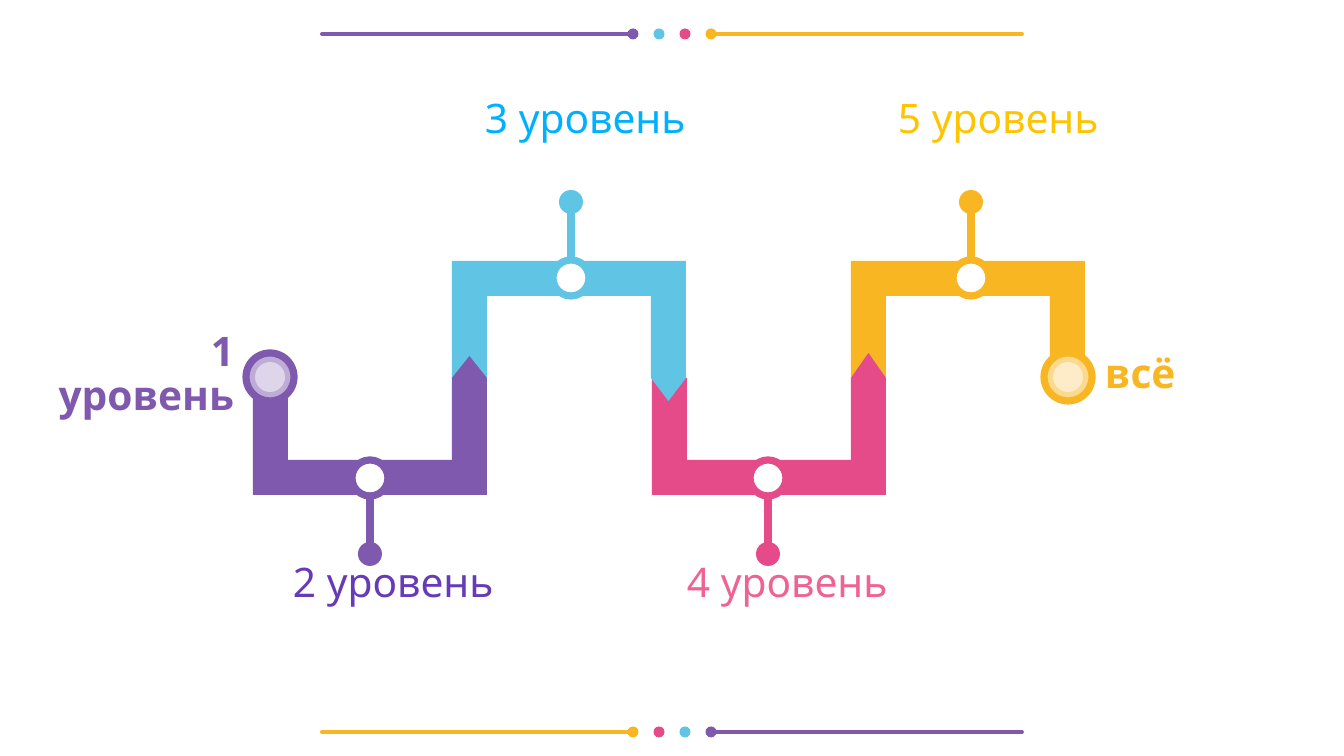
import lxml.etree
import pptx
import pptx.dml.color
import pptx.enum.shapes
import pptx.enum.text
import pptx.oxml.ns
import pptx.util

EMU_PER_PX = 7495
PURPLE, BLUE, PINK, YELLOW, WHITE = "7F59AE", "60C4E4", "E54B89", "F8B622", "FFFFFF"
TOP, MIDDLE, BOTTOM = 261, 378, 495
RIBBON_WIDTH, BAND = 234, 35
ALIGN = pptx.enum.text.PP_ALIGN
ANCHOR = pptx.enum.text.MSO_ANCHOR


def px(length):
    return pptx.util.Emu(round(length * EMU_PER_PX))


def color(value):
    return pptx.dml.color.RGBColor.from_string(value)


def add_child(parent, tag, **attributes):
    child = lxml.etree.SubElement(parent, pptx.oxml.ns.qn(tag))
    for name, value in attributes.items():
        child.set(name, value)
    return child


class Painter:
    font = "Noto Sans"
    size = pptx.util.Pt(24)
    outline = 4.25

    def __init__(self, page):
        self.page = page

    def paint(self, shape, fill, line=None, opacity=100):
        shape.shadow.inherit = False
        shape.fill.solid()
        shape.fill.fore_color.rgb = color(fill)
        if opacity < 100:
            solid = shape.fill._xPr.find(pptx.oxml.ns.qn("a:solidFill"))
            add_child(solid[0], "a:alpha", val=str(opacity * 1000))
        if line:
            shape.line.color.rgb = color(line)
            shape.line.width = pptx.util.Pt(self.outline)
        else:
            shape.line.fill.background()

    def circle(self, x, y, diameter, fill, line=None, opacity=100):
        """Draw a circle around the centre x, y."""
        shape = self.page.shapes.add_shape(
            pptx.enum.shapes.MSO_SHAPE.OVAL,
            px(x - diameter / 2), px(y - diameter / 2), px(diameter), px(diameter))
        self.paint(shape, fill, line, opacity)

    def line(self, start, end, fill, width):
        connector = self.page.shapes.add_connector(
            pptx.enum.shapes.MSO_CONNECTOR.STRAIGHT, *map(px, start + end))
        connector.line.color.rgb = color(fill)
        connector.line.width = pptx.util.Pt(width)
        connector.line._get_or_add_ln().set("cap", "rnd")
        add_child(connector._element.spPr, "a:effectLst")

    def divider(self, y, colors):
        """Draw four dots with a line running outwards from each end."""
        dots = [633 + 26 * i for i in range(4)]
        self.line((322, y), (dots[0], y), colors[0], 2.27)
        self.line((dots[-1], y), (1022, y), colors[-1], 2.27)
        for x, fill in zip(dots, colors):
            self.circle(x, y, 11, fill)

    def ribbon(self, left, outer, tip, fill):
        """Draw a U-shaped band whose right arm ends in a point at tip."""
        right = left + RIBBON_WIDTH
        inner = outer + (BAND if outer < MIDDLE else -BAND)
        points = [(left, MIDDLE), (left, outer), (right, outer), (right, MIDDLE),
                  (right - BAND / 2, tip), (right - BAND, MIDDLE),
                  (right - BAND, inner), (left + BAND, inner), (left + BAND, MIDDLE)]
        corners = [(px(x), px(y)) for x, y in points]
        builder = self.page.shapes.build_freeform(*corners[0])
        builder.add_line_segments(corners[1:])
        self.paint(builder.convert_to_shape(), fill)

    def pin(self, x, outer, fill):
        """Draw a ring on the band and a stem with a dot pointing outwards."""
        outward = -1 if outer < MIDDLE else 1
        end = outer + 59 * outward
        self.line((x, outer), (x, end), fill, self.outline)
        self.circle(x, end, 24, fill)
        self.circle(x, outer - 17 * outward, 36, WHITE, fill)

    def terminal(self, x, fill):
        """Draw the round end of the route."""
        self.circle(x, MIDDLE - 1, 48, WHITE, fill)
        self.circle(x, MIDDLE - 1, 48, fill, opacity=50)
        self.circle(x, MIDDLE - 1, 30, WHITE, opacity=50)

    def label(self, text, area, fill, bold=False, align=ALIGN.LEFT, anchor=ANCHOR.TOP):
        box = self.page.shapes.add_textbox(*map(px, area))
        frame = box.text_frame
        frame.word_wrap = True
        frame.margin_left = frame.margin_right = 0
        frame.margin_top = frame.margin_bottom = 0
        frame.vertical_anchor = anchor
        para = frame.paragraphs[0]
        para.alignment = align
        para.line_spacing = 0.9
        span = para.add_run()
        span.text = text
        span.font.name = self.font
        span.font.size = self.size
        span.font.bold = bold
        span.font.color.rgb = color(fill)


def main():
    deck = pptx.Presentation()
    deck.slide_width, deck.slide_height = px(1344), px(756)
    painter = Painter(deck.slides.add_slide(deck.slide_layouts[6]))

    palette = [PURPLE, BLUE, PINK, YELLOW]
    painter.divider(34, palette)
    painter.divider(732, palette[::-1])

    # Later stages lie underneath, so each point overlaps the next band.
    stages = [
        (851, TOP, MIDDLE, 971, YELLOW),
        (652, BOTTOM, 353, 768, PINK),
        (452, TOP, 401, 571, BLUE),
        (253, BOTTOM, 356, 370, PURPLE),
    ]
    for left, outer, tip, pin_x, fill in stages:
        painter.ribbon(left, outer, tip, fill)
        painter.pin(pin_x, outer, fill)
    painter.terminal(270, PURPLE)
    painter.terminal(1068, YELLOW)

    for text, left, top, fill in [
        ("2 уровень", 293, 562, "673AB7"),
        ("4 уровень", 687, 562, "F06292"),
        ("3 уровень", 485, 98, "00B0FF"),
        ("5 уровень", 898, 98, "FFC400"),
    ]:
        painter.label(text, (left, top, 215, 55), fill)
    painter.label("1 уровень", (43, 303, 191, 144), PURPLE, True, ALIGN.RIGHT, ANCHOR.MIDDLE)
    painter.label("всё", (1105, 303, 191, 144), YELLOW, True, anchor=ANCHOR.MIDDLE)
    deck.save("out.pptx")


if __name__ == "__main__":
    main()
